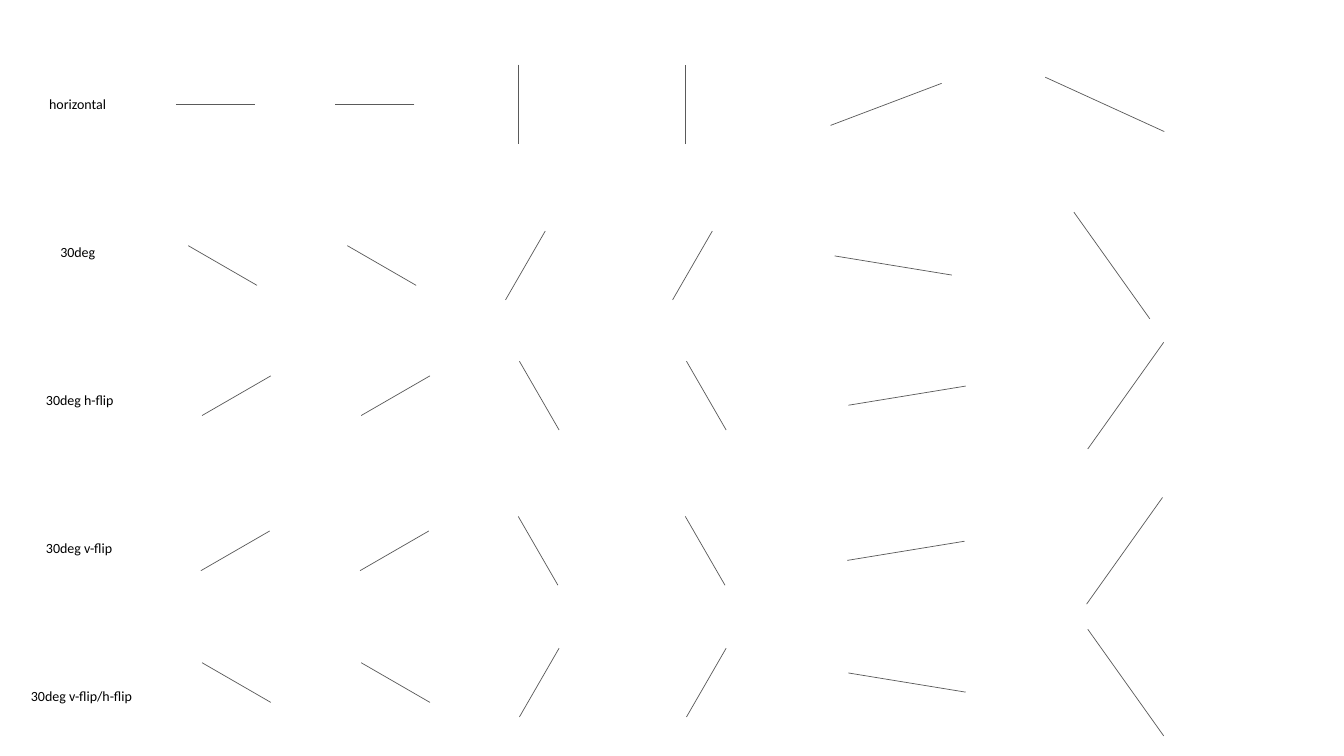
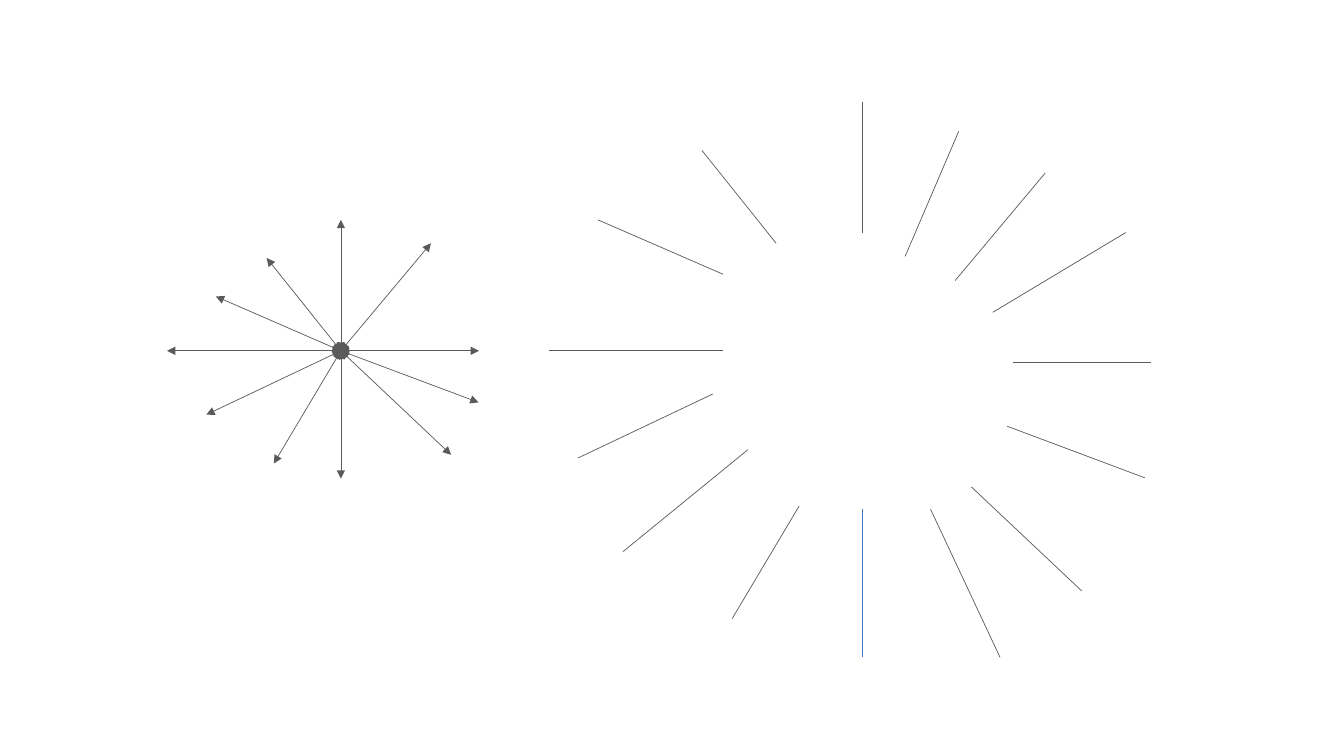
import math
from dataclasses import dataclass

from pptx import Presentation
from pptx import util as u
from pptx.dml.color import RGBColor
from pptx.enum import shapes, text
from pptx.oxml.ns import qn
from lxml import etree


@dataclass(frozen=True)
class Theme:
    wide: float = 33.87
    high: float = 19.05
    font: str = "Calibri"
    size: float = 10
    weight: float = 0.5
    ink: str = "000000"
    gray: str = "5A5A5A"
    blue: str = "4472C4"


THEME = Theme()

# Slide 1, in cm: column centre and vector of each unrotated line
COLS = [
    (5.43, (2, 0)),
    (9.44, (-2, 0)),
    (13.06, (0, 2)),
    (17.27, (0, -2)),
    (22.33, (2.8, -1.06)),
    (27.84, (3, 1.37)),
]
# Label, label left, label width, shift of lines, centre height, angle, x and y sign
ROWS = [
    ("horizontal", 0.99, 1.98, 0, 2.63, 0, 1, 1),
    ("30deg", 1.27, 1.42, 0.18, 6.69, 30, 1, 1),
    ("30deg h-flip", 0.91, 2.24, 0.53, 9.97, 30, -1, 1),
    ("30deg v-flip", 0.91, 2.21, 0.5, 13.88, 30, 1, -1),
    ("30deg v-flip/h-flip", 0.53, 3.1, 0.53, 17.2, 30, -1, -1),
]
LABEL_TOP, LABEL_GAP, LABEL_HIGH = 2.28, 3.73, 0.69

# Slide 2, in cm: each spoke vector with its start in the open ring
SHARED = [
    ((2.27, -2.71), (24.07, 7.07)),
    ((0, -3.3), (21.72, 5.88)),
    ((-1.87, -2.34), (19.56, 6.13)),
    ((-3.15, -1.37), (18.22, 6.91)),
    ((-4.38, 0), (18.22, 8.84)),
    ((-3.39, 1.61), (17.96, 9.93)),
    ((-1.69, 2.84), (20.14, 12.75)),
    ((2.78, 2.62), (24.48, 12.27)),
    ((3.47, 1.3), (25.38, 10.74)),
    ((3.48, 0), (25.53, 9.13)),
]
EXTRA = [
    ((3.35, -2.01), (25.02, 7.87)),
    ((1.35, -3.15), (22.81, 6.46)),
    ((1.75, 3.73), (23.45, 12.83)),
    ((-3.15, 2.57), (18.85, 11.33)),
]
HUB = (8.59, 8.84)
HUB_DOWN = (0, 3.22)
RING_DOWN = ((0, 3.73), (21.72, 12.83))


def write(slide, words, box, size=THEME.size, color=THEME.ink):
    """Add one line of text in a box of left, top, width, height."""
    shape = slide.shapes.add_textbox(*map(u.Cm, box))
    frame = shape.text_frame
    frame.word_wrap = False
    frame.auto_size = text.MSO_AUTO_SIZE.SHAPE_TO_FIT_TEXT
    run = frame.paragraphs[0].add_run()
    run.text = words
    run.font.name = THEME.font
    run.font.size = u.Pt(size)
    run.font.color.rgb = RGBColor.from_string(color)


def draw(slide, start, vector, color=THEME.gray, arrows=False):
    """Add a thin line that runs along a vector from its start."""
    x, y = start
    dx, dy = vector
    ends = map(u.Cm, (x, y, x + dx, y + dy))
    line = slide.shapes.add_connector(shapes.MSO_CONNECTOR.STRAIGHT, *ends)
    line.line.width = u.Pt(THEME.weight)
    line.line.color.rgb = RGBColor.from_string(color)
    props = line.element.spPr
    if arrows:
        for end in ("a:headEnd", "a:tailEnd"):
            etree.SubElement(props.find(qn("a:ln")), qn(end), type="triangle")
    etree.SubElement(props, qn("a:effectLst"))


def turn(vector, angle, flip_x, flip_y):
    """Rotate a vector clockwise, then mirror it."""
    x, y = vector
    cos, sin = math.cos(math.radians(angle)), math.sin(math.radians(angle))
    return flip_x * (x * cos - y * sin), flip_y * (x * sin + y * cos)


def add_row(slide, mid, shift, *change):
    """Draw one row of lines, each centred on its column."""
    for col, base in COLS:
        dx, dy = turn(base, *change)
        draw(slide, (col + shift - dx / 2, mid - dy / 2), (dx, dy))


def add_grid(slide):
    # Labels at an even pitch, lines at the height of their row
    for i, (name, left, width, shift, mid, *change) in enumerate(ROWS):
        top = LABEL_TOP + i * LABEL_GAP
        write(slide, name, (left, top, width, LABEL_HIGH))
        add_row(slide, mid, shift, *change)


def add_star(slide, hub):
    # Arrows that all leave one point
    for vector in [vector for vector, _ in SHARED] + [HUB_DOWN]:
        draw(slide, hub, vector, arrows=True)


def add_ring(slide):
    # Plain lines around an open centre
    for vector, start in SHARED + EXTRA:
        draw(slide, start, vector)
    vector, start = RING_DOWN
    draw(slide, start, vector, color=THEME.blue)


def main():
    deck = Presentation()
    deck.slide_width, deck.slide_height = u.Cm(THEME.wide), u.Cm(THEME.high)
    blank = deck.slide_layouts[6]
    add_grid(deck.slides.add_slide(blank))
    spokes = deck.slides.add_slide(blank)
    add_star(spokes, HUB)
    add_ring(spokes)
    deck.save("out.pptx")


if __name__ == "__main__":
    main()
